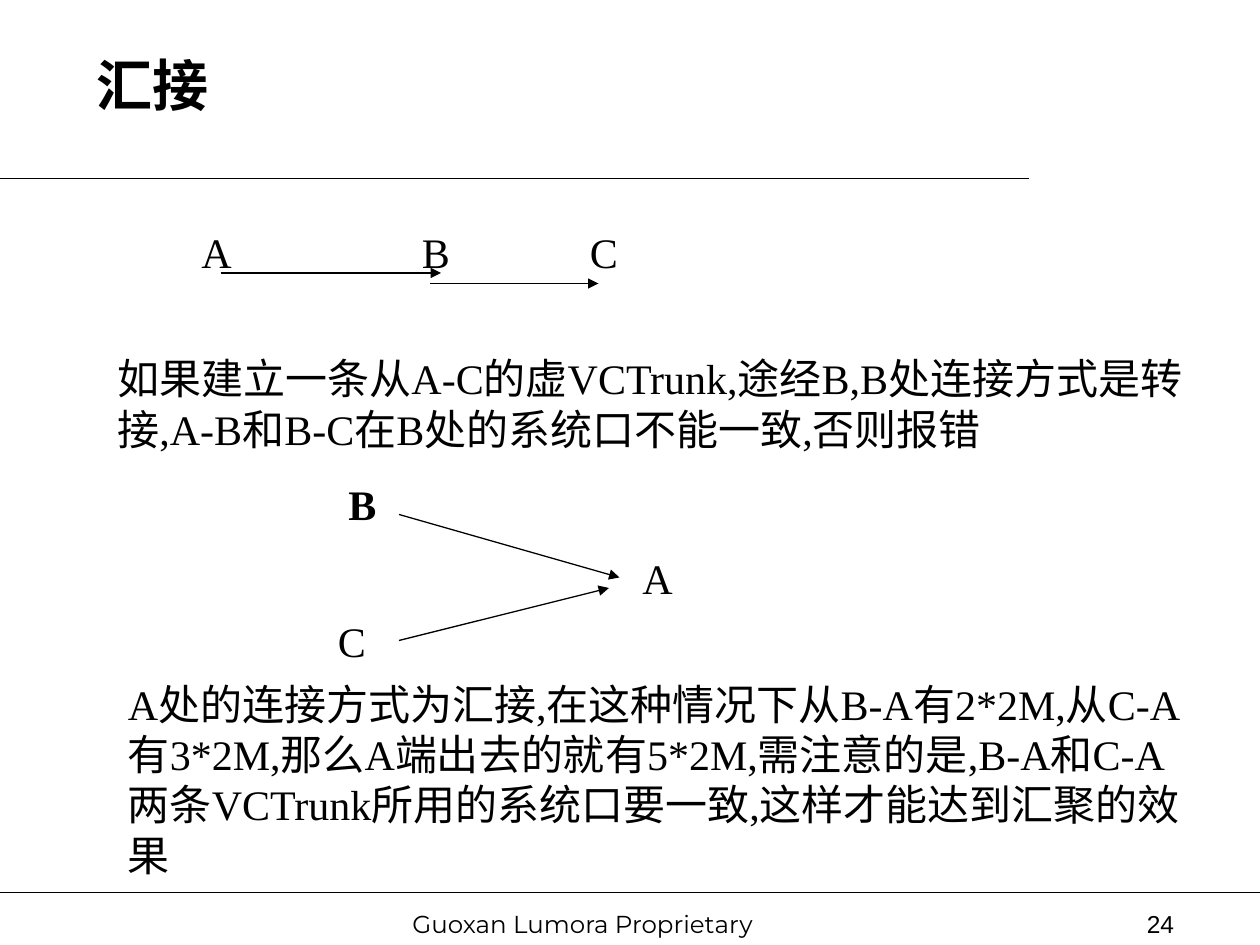
from lxml import etree
from pptx import Presentation
from pptx.dml.color import RGBColor
from pptx.enum.shapes import MSO_CONNECTOR
from pptx.enum.text import MSO_ANCHOR, PP_ALIGN
from pptx.oxml.ns import qn
from pptx.util import Inches, Pt

STRAIGHT = MSO_CONNECTOR.STRAIGHT
TOP, MIDDLE = MSO_ANCHOR.TOP, MSO_ANCHOR.MIDDLE
LEFT, RIGHT = PP_ALIGN.LEFT, PP_ALIGN.RIGHT


def paint(code):
    return RGBColor.from_string(code)


def cell(count):
    return Inches(count / 12)


class Page:
    """Draws on one slide with a grid of 120 columns and 90 rows."""

    ink = "000000"
    face = "Times New Roman"

    def __init__(self, deck):
        self.slide = deck.slides.add_slide(deck.slide_layouts[6])

    def text(self, words, left, top, wide, high, size=24, face=face,
             bold=False, align=LEFT, anchor=TOP, inset=0.1):
        box = self.slide.shapes.add_textbox(*map(cell, (left, top, wide, high)))
        frame = box.text_frame
        frame.word_wrap = True
        frame.vertical_anchor = anchor
        frame.margin_left = Inches(inset)
        para = frame.paragraphs[0]
        para.alignment = align
        run = para.add_run()
        run.text = words
        font = run.font
        font.size, font.name, font.bold = Pt(size), face, bold
        font.color.rgb = paint(self.ink)

    def label(self, words, left, top, wide=6, bold=False):
        self.text(words, left, top, wide, 6, bold=bold)

    def line(self, *ends):
        rule = self.slide.shapes.add_connector(STRAIGHT, *map(cell, ends))
        rule.line.color.rgb = paint(self.ink)
        rule.line.width = Pt(0.75)
        etree.SubElement(rule._element.spPr, qn("a:effectLst"))
        return rule

    def arrow(self, *ends):
        stroke = self.line(*ends).line._get_or_add_ln()
        etree.SubElement(stroke, qn("a:tailEnd"), type="triangle")


def main():
    deck = Presentation()
    deck.slide_width, deck.slide_height = Inches(10), Inches(7.5)
    page = Page(deck)

    page.text("Guoxan Lumora Proprietary", 34, 86, 41, 4, size=14,
              face="Montserrat", inset=0.44)
    page.line(0, 17, 98, 17)
    page.line(0, 85, 120, 85)
    page.text("24", 88, 86, 25, 4, size=14, face="Arial", align=RIGHT)
    page.text("汇接", 8, 5, 103, 6, size=32, bold=True, anchor=MIDDLE)

    page.arrow(21, 26, 42, 26)
    page.arrow(41, 27, 57, 27)
    for name, left in (("A", 18), ("B", 39), ("C", 55)):
        page.label(name, left, 21)
    page.text("如果建立一条从A-C的虚VCTrunk,途经B,B处连接方式是转接,"
              "A-B和B-C在B处的系统口不能一致,否则报错", 10, 33, 104, 10.8)

    page.arrow(38, 49, 59, 55)
    page.arrow(38, 61, 58, 56)
    page.label("B", 32, 45, bold=True)
    page.label("C", 31, 58)
    page.label("A", 60, 52, wide=7)
    page.text("A处的连接方式为汇接,在这种情况下从B-A有2*2M,从C-A有3*2M,"
              "那么A端出去的就有5*2M,需注意的是,B-A和C-A两条VCTrunk"
              "所用的系统口要一致,这样才能达到汇聚的效果", 11, 64, 104, 20.4)

    deck.save("out.pptx")


if __name__ == "__main__":
    main()
